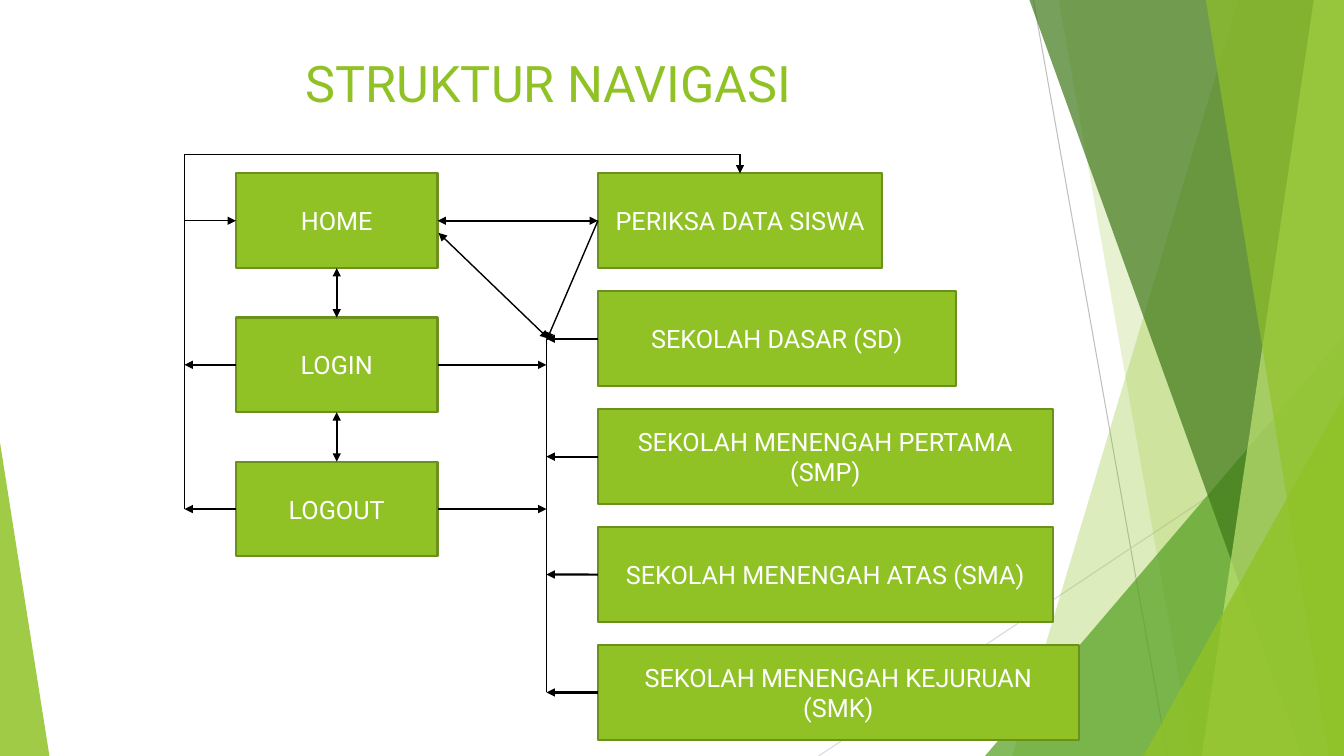
"""Build the navigation structure slide with its faceted green backdrop."""
from lxml import etree
from pptx import Presentation, util as u
from pptx.dml.color import RGBColor
from pptx.enum import shapes, text
from pptx.oxml.ns import qn

WIDTH, HEIGHT = 13.33, 7.5
FONT = "Roboto"
COLORS = {"green": "90C226", "border": "6B901C", "mid": "54A021", "dark": "3F7819",
          "light": "C0E474", "grey": "BFBFBF", "pale": "D9D9D9",
          "black": "000000", "white": "FFFFFF"}

TITLE = "STRUKTUR NAVIGASI"
MENU = ["HOME", "LOGIN", "LOGOUT"]
PAGES = [("PERIKSA DATA SISWA", 2.82), ("SEKOLAH DASAR (SD)", 3.55),
         ("SEKOLAH MENENGAH PERTAMA (SMP)", 4.51), ("SEKOLAH MENENGAH ATAS (SMA)", 4.51),
         ("SEKOLAH MENENGAH KEJURUAN (SMK)", 4.77)]

BACKDROP_LINES = [((10.25, 0), (11.58, HEIGHT), "grey"),
                  ((WIDTH, 4.03), (8.12, HEIGHT), "pale")]
RIGHT_EDGE = [(WIDTH, 0), (WIDTH, HEIGHT)]
CORNER = (WIDTH, HEIGHT)
FACETS = [([(12.28, 0), *RIGHT_EDGE, (10.04, HEIGHT)], "green", 30),
          ([(10.5, 0), *RIGHT_EDGE, (11.83, HEIGHT)], "green", 20),
          ([(9.77, HEIGHT), (WIDTH, 3.33), CORNER], "mid", 72),
          ([(10.21, 0), *RIGHT_EDGE, (12.91, HEIGHT)], "dark", 70),
          ([(13.03, 0), *RIGHT_EDGE, (11.92, HEIGHT)], "light", 70),
          ([(11.96, 0), *RIGHT_EDGE, (13.18, HEIGHT)], "green", 65),
          ([(11.34, HEIGHT), (WIDTH, 3.93), CORNER], "green", 80),
          ([(0, 4.39), (0.49, HEIGHT), (0, HEIGHT)], "green", 85)]

TOP, BOX_HEIGHT = 1.72, 0.94
MENU_LEFT, MENU_WIDTH, MENU_PITCH = 2.34, 2, 1.43
PAGE_LEFT, PAGE_PITCH = 5.93, 1.17
LEFT_RAIL, RIGHT_RAIL, TOP_RAIL = 1.83, 5.42, 1.53
SITE_TOP, SITE_LEFT, SITE_BOTTOM, SITE_RIGHT = range(4)


def rgb(name):
    return RGBColor.from_string(COLORS[name])


def add_facet(slide, points, color, opacity):
    corners = [(u.Inches(x), u.Inches(y)) for x, y in points]
    builder = slide.shapes.build_freeform(*corners[0])
    builder.add_line_segments(corners[1:], close=True)
    shape = builder.convert_to_shape()
    shape.shadow.inherit = False
    shape.line.fill.background()
    shape.fill.solid()
    shape.fill.fore_color.rgb = rgb(color)
    color_element = shape.fill._xPr.find(".//" + qn("a:srgbClr"))
    etree.SubElement(color_element, qn("a:alpha"), val=str(opacity * 1000))


def write(shape, words, size, color, anchor):
    frame = shape.text_frame
    frame.word_wrap = True
    frame.vertical_anchor = anchor
    paragraph = frame.paragraphs[0]
    paragraph.text = words
    paragraph.alignment = text.PP_ALIGN.CENTER
    paragraph.font.size = u.Pt(size)
    paragraph.font.name = FONT
    paragraph.font.color.rgb = rgb(color)


def add_box(slide, words, left, top, width):
    shape = slide.shapes.add_shape(shapes.MSO_SHAPE.RECTANGLE, u.Inches(left), u.Inches(top),
                                   u.Inches(width), u.Inches(BOX_HEIGHT))
    shape.shadow.inherit = False
    shape.fill.solid()
    shape.fill.fore_color.rgb = rgb("green")
    shape.line.color.rgb = rgb("border")
    shape.line.width = u.Pt(1.5)
    write(shape, words, 18, "white", text.MSO_ANCHOR.MIDDLE)
    return shape


def add_line(slide, start, end, arrows="", color="black", width=1.0):
    """Join two ends, each a point in inches or a (box, site) pair."""
    connector = slide.shapes.add_connector(shapes.MSO_CONNECTOR.STRAIGHT, 0, 0, 0, 0)
    if isinstance(start[0], (int, float)):
        connector.begin_x, connector.begin_y = map(u.Inches, start)
    else:
        connector.begin_connect(*start)
    if isinstance(end[0], (int, float)):
        connector.end_x, connector.end_y = map(u.Inches, end)
    else:
        connector.end_connect(*end)
    connector.line.color.rgb = rgb(color)
    connector.line.width = u.Pt(width)
    line = connector.line._get_or_add_ln()
    for arrow in arrows.split():
        etree.SubElement(line, qn(f"a:{arrow}"), type="triangle")
    etree.SubElement(connector._element.spPr, qn("a:effectLst"))


def add_navigation(slide):
    menu = [add_box(slide, words, MENU_LEFT, TOP + row * MENU_PITCH, MENU_WIDTH)
            for row, words in enumerate(MENU)]
    pages = [add_box(slide, words, PAGE_LEFT, TOP + row * PAGE_PITCH, width)
             for row, (words, width) in enumerate(PAGES)]
    menu_y = [TOP + row * MENU_PITCH + BOX_HEIGHT / 2 for row in range(len(MENU))]
    page_y = [TOP + row * PAGE_PITCH + BOX_HEIGHT / 2 for row in range(len(PAGES))]
    home, check = menu[0], pages[0]
    both, forward = "headEnd tailEnd", "tailEnd"

    add_line(slide, (home, SITE_RIGHT), (check, SITE_LEFT), both, width=1.5)
    for upper, lower in zip(menu, menu[1:]):
        add_line(slide, (upper, SITE_BOTTOM), (lower, SITE_TOP), both, width=1.5)
    for box, y in zip(menu[1:], menu_y[1:]):
        add_line(slide, (box, SITE_LEFT), (LEFT_RAIL, y), forward, width=1.5)
        add_line(slide, (box, SITE_RIGHT), (RIGHT_RAIL, y), forward)
    for box, y in zip(pages[1:], page_y[1:]):
        add_line(slide, (box, SITE_LEFT), (RIGHT_RAIL, y), forward, width=1.5)

    check_x = PAGE_LEFT + PAGES[0][1] / 2
    add_line(slide, (LEFT_RAIL, menu_y[-1]), (LEFT_RAIL, TOP_RAIL))
    add_line(slide, (LEFT_RAIL, TOP_RAIL), (check_x, TOP_RAIL))
    add_line(slide, (check_x, TOP_RAIL), (check, SITE_TOP), forward)
    add_line(slide, (LEFT_RAIL, menu_y[0]), (home, SITE_LEFT), forward)
    add_line(slide, (RIGHT_RAIL, page_y[-1]), (RIGHT_RAIL, page_y[1]))
    add_line(slide, (RIGHT_RAIL + 0.02, page_y[1]),
             (MENU_LEFT + MENU_WIDTH + 0.01, menu_y[0] + 0.12), both)
    add_line(slide, (check, SITE_LEFT), (RIGHT_RAIL, page_y[1] + 0.02), forward)


def main():
    presentation = Presentation()
    presentation.slide_width, presentation.slide_height = u.Inches(WIDTH), u.Inches(HEIGHT)
    slide = presentation.slides.add_slide(presentation.slide_layouts[6])
    for start, end, color in BACKDROP_LINES:
        add_line(slide, start, end, color=color, width=0.75)
    for points, color, opacity in FACETS:
        add_facet(slide, points, color, opacity)
    title = slide.shapes.add_textbox(*map(u.Inches, (0.74, 0.47, 9.4, 1.44)))
    write(title, TITLE, 36, "green", text.MSO_ANCHOR.TOP)
    add_navigation(slide)
    presentation.save("out.pptx")


if __name__ == "__main__":
    main()
